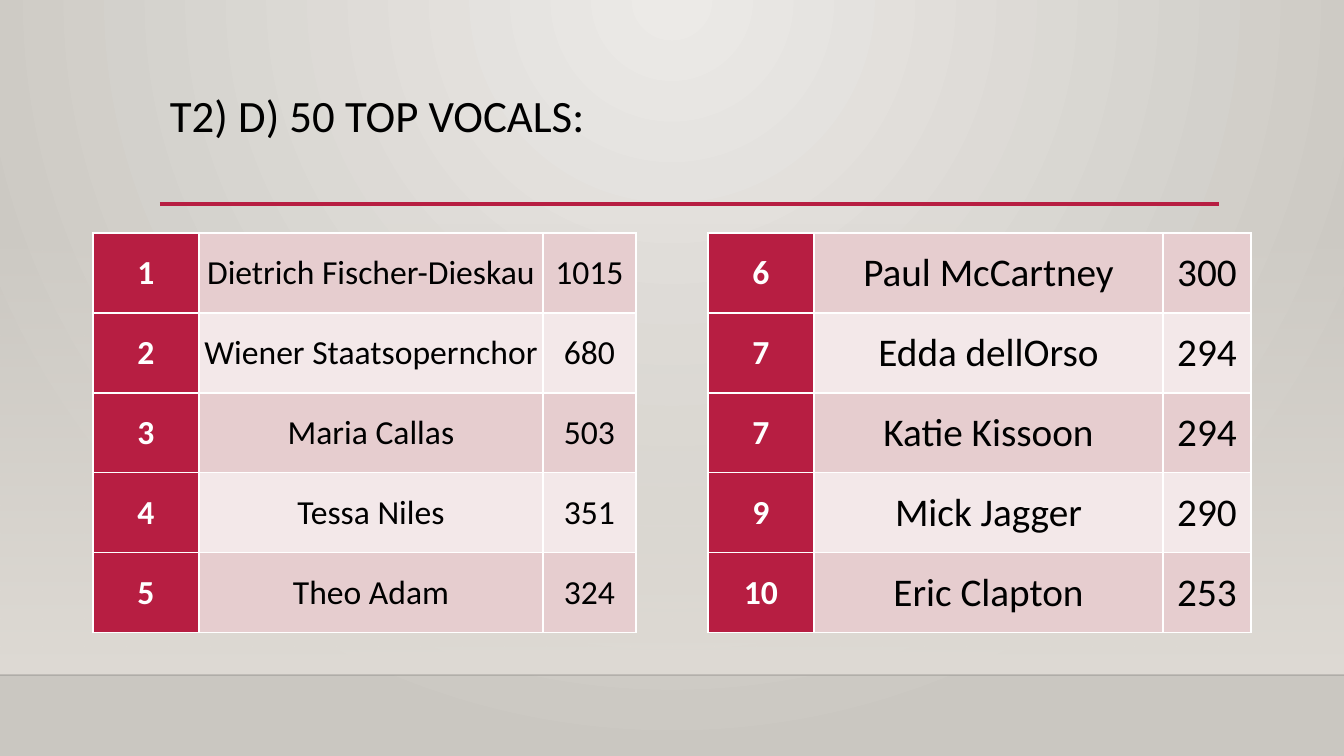
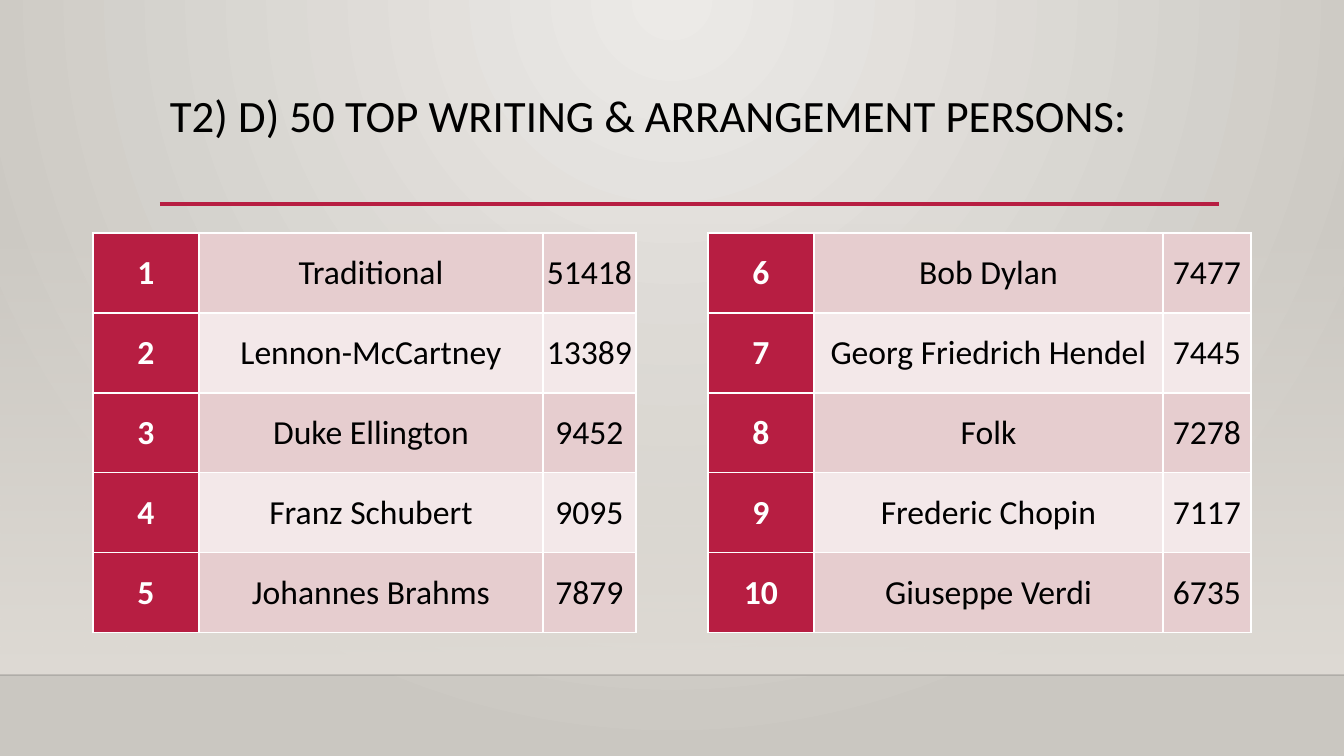
"""Build two ranking slides, each with a title above a pair of tables."""
import dataclasses

import pptx
import pptx.dml.color
import pptx.enum.shapes
import pptx.enum.text
import pptx.oxml
import pptx.oxml.ns
import pptx.util


@dataclasses.dataclass(frozen=True)
class Theme:
    """Colours as RRGGBB and sizes in points."""
    font: str = "Calibri"
    ink: str = "000000"
    white: str = "FFFFFF"
    accent: str = "B71E42"
    stripes: tuple = ("E6CDCF", "F3E8E9")
    backdrop: tuple = ("ECEAE7", "CAC7C1")
    wall: str = "DFDBD5"
    floor_line: str = "000001"
    title_size: int = 32
    table_size: int = 24
    large_size: int = 28
    hairline: float = 1
    rule: float = 2.5


THEME = Theme()
ALIGN = pptx.enum.text.PP_ALIGN
MIDDLE = pptx.enum.text.MSO_ANCHOR.MIDDLE
WIDTH, HEIGHT = 1344, 756
FLOOR = 675
ROW_HEIGHT = 80
RANK_WIDTH = 106

RANKINGS = [
    {
        "title": "T2) D) 50 TOP VOCALS:",
        "right_size": THEME.large_size,
        "left": [
            (1, "Dietrich Fischer-Dieskau", 1015),
            (2, "Wiener Staatsopernchor", 680),
            (3, "Maria Callas", 503),
            (4, "Tessa Niles", 351),
            (5, "Theo Adam", 324),
        ],
        "right": [
            (6, "Paul McCartney", 300),
            (7, "Edda dellOrso", 294),
            (7, "Katie Kissoon", 294),
            (9, "Mick Jagger", 290),
            (10, "Eric Clapton", 253),
        ],
    },
    {
        "title": "T2) D) 50 TOP WRITING & ARRANGEMENT PERSONS:",
        "right_size": THEME.table_size,
        "left": [
            (1, "Traditional", 51418),
            (2, "Lennon-McCartney", 13389),
            (3, "Duke Ellington", 9452),
            (4, "Franz Schubert", 9095),
            (5, "Johannes Brahms", 7879),
        ],
        "right": [
            (6, "Bob Dylan", 7477),
            (7, "Georg Friedrich Hendel", 7445),
            (8, "Folk", 7278),
            (9, "Frederic Chopin", 7117),
            (10, "Giuseppe Verdi", 6735),
        ],
    },
]


def px(count):
    """Turn whole pixels into EMU."""
    return pptx.util.Emu(round(count * 914400 / 100.8))


def rgb(code):
    """Turn RRGGBB into a colour."""
    return pptx.dml.color.RGBColor.from_string(code)


def xml(markup):
    """Parse one drawing element given without its namespace."""
    tag, rest = markup[:-2].partition(" ")[::2] if markup.endswith("/>") and markup.count("<") == 1 else (None, None)
    if tag:
        return pptx.oxml.parse_xml(f"{tag} {pptx.oxml.ns.nsdecls('a')} {rest}/>")
    head, tail = markup.split(">", 1)
    return pptx.oxml.parse_xml(f"{head} {pptx.oxml.ns.nsdecls('a')}>{tail}")


def write(frame, text, *, size, color=THEME.ink, bold=False, align=ALIGN.LEFT, spacing=None):
    """Put one formatted paragraph into a text frame."""
    paragraph = frame.paragraphs[0]
    paragraph.alignment = align
    paragraph.line_spacing = spacing
    run = paragraph.add_run()
    run.text = text
    run.font.name = THEME.font
    run.font.size = pptx.util.Pt(size)
    run.font.bold = bold
    run.font.color.rgb = rgb(color)


def blend(owner, stops, direction):
    """Replace the gradient inside an element by (colour, opacity) stops."""
    gradient = owner.xpath(".//a:gradFill")[0]
    for child in list(gradient):
        gradient.remove(child)
    last = len(stops) - 1
    marks = "".join(
        f'<a:gs pos="{100000 * index // last}"><a:srgbClr val="{color}">'
        f'<a:alpha val="{opacity * 1000}"/></a:srgbClr></a:gs>'
        for index, (color, opacity) in enumerate(stops)
    )
    gradient.append(xml(f"<a:gsLst>{marks}</a:gsLst>"))
    gradient.append(xml(direction))


def draw_rule(slide, left, top, width, color, weight, opacity=100):
    """Draw a horizontal line without a shadow."""
    rule = slide.shapes.add_connector(
        pptx.enum.shapes.MSO_CONNECTOR.STRAIGHT, px(left), px(top), px(left + width), px(top))
    rule.line.color.rgb = rgb(color)
    rule.line.width = pptx.util.Pt(weight)
    if opacity < 100:
        tint = rule.element.xpath(".//a:ln//a:srgbClr")[0]
        tint.append(xml(f'<a:alpha val="{opacity * 1000}"/>'))
    rule.element.spPr.append(xml("<a:effectLst/>"))


def paint_backdrop(master):
    """Give every slide the round glow from the top centre."""
    master.background.fill.gradient()
    blend(
        master.element.xpath(".//p:bg")[0],
        [(color, 100) for color in THEME.backdrop],
        '<a:path path="circle"><a:fillToRect l="43000" t="0" r="43000" b="100000"/></a:path>',
    )


def draw_wall(slide, left, top, width, height):
    """Draw the fading wall and the line where it meets the floor."""
    wall = slide.shapes.add_shape(
        pptx.enum.shapes.MSO_SHAPE.RECTANGLE, px(left), px(top), px(width), px(height))
    wall.shadow.inherit = False
    wall.line.fill.background()
    wall.fill.gradient()
    blend(wall.element.spPr, [(THEME.wall, 0), (THEME.wall, 100)], '<a:lin ang="5400000" scaled="0"/>')
    draw_rule(slide, left, top + height, width, THEME.floor_line, THEME.hairline, opacity=20)


def draw_title(slide, text, left, top, width, height):
    """Write the title and underline it with the accent rule."""
    title = slide.shapes.add_textbox(px(left), px(top), px(width), px(height))
    title.text_frame.word_wrap = True
    write(title.text_frame, text, size=THEME.title_size, spacing=0.9)
    draw_rule(slide, left, top + height - 1, width, THEME.accent, THEME.rule)


def style_cell(cell, fill):
    """Give a cell its white borders, fill and middle anchor."""
    properties = cell._tc.get_or_add_tcPr()
    for side in "LRTB":
        properties.append(xml(
            f'<a:ln{side} w="{pptx.util.Pt(THEME.hairline)}"><a:solidFill>'
            f'<a:srgbClr val="{THEME.white}"/></a:solidFill></a:ln{side}>'))
    cell.fill.solid()
    cell.fill.fore_color.rgb = rgb(fill)
    cell.vertical_anchor = MIDDLE


def draw_ranking(slide, entries, left, top, width, count_width, size):
    """Draw a table of rank, name and count."""
    columns = (RANK_WIDTH, width - RANK_WIDTH - count_width, count_width)
    ranking = slide.shapes.add_table(
        len(entries), len(columns), px(left), px(top), px(width), px(ROW_HEIGHT * len(entries))).table
    ranking.first_row = ranking.horz_banding = False
    for column, column_width in zip(ranking.columns, columns):
        column.width = px(column_width)
    for row, entry in enumerate(entries):
        ranking.rows[row].height = px(ROW_HEIGHT)
        for column, value in enumerate(entry):
            cell = ranking.cell(row, column)
            is_rank = column == 0
            style_cell(cell, THEME.accent if is_rank else THEME.stripes[row % 2])
            if not is_rank:
                cell.margin_left = cell.margin_right = cell.margin_top = px(1)
                cell.margin_bottom = 0
            write(
                cell.text_frame, str(value), align=ALIGN.CENTER, bold=is_rank,
                size=THEME.table_size if is_rank else size,
                color=THEME.white if is_rank else THEME.ink,
            )


def build_ranking_slide(deck, content):
    """Add one slide with a title and two ranking tables."""
    slide = deck.slides.add_slide(deck.slide_layouts[6])
    draw_wall(slide, 0, 223, WIDTH, FLOOR - 223)
    draw_title(slide, content["title"], 160, 89, 1059, 116)
    draw_ranking(slide, content["left"], 93, 233, 543, 93, THEME.table_size)
    draw_ranking(slide, content["right"], 708, 233, 543, 88, content["right_size"])


def main():
    """Build and save the deck."""
    deck = pptx.Presentation()
    deck.slide_width, deck.slide_height = px(WIDTH), px(HEIGHT)
    paint_backdrop(deck.slide_master)
    for content in RANKINGS:
        build_ranking_slide(deck, content)
    deck.save("out.pptx")


if __name__ == "__main__":
    main()
